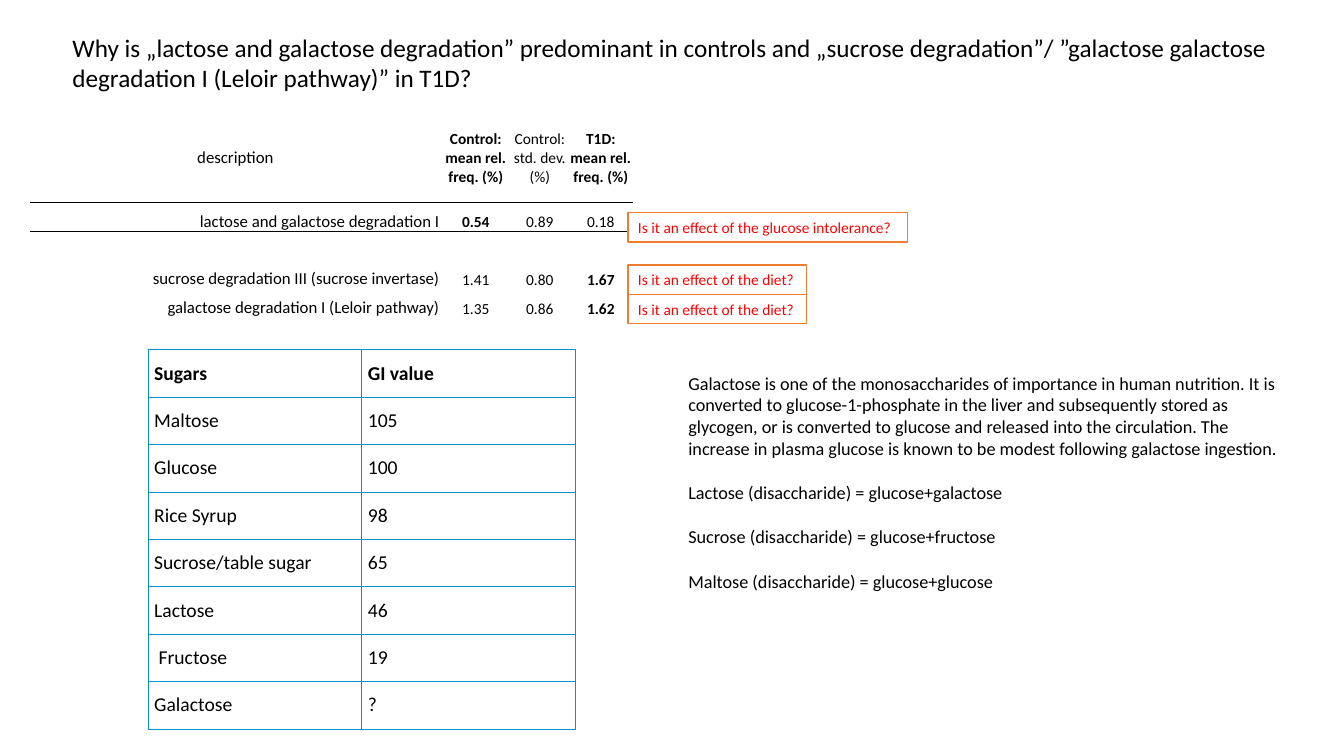
from lxml import etree
from pptx import Presentation, util as u
from pptx.dml.color import RGBColor
from pptx.enum import shapes, text
from pptx.oxml.ns import qn

FONT, BLACK, WHITE, RED = "Calibri", "000000", "FFFFFF", "FF0000"
ORANGE, BLUE = "ED7D31", "0591CC"
NO_GRID_STYLE = "{2D5ABB26-0587-4C30-8999-92F81FD0307C}"
LEFT, CENTER, RIGHT = text.PP_ALIGN.LEFT, text.PP_ALIGN.CENTER, text.PP_ALIGN.RIGHT
MIDDLE, BOTTOM = text.MSO_ANCHOR.MIDDLE, text.MSO_ANCHOR.BOTTOM

TITLE = ("Why is „lactose and galactose degradation” predominant in controls and "
         "„sucrose degradation”/ ”galactose galactose degradation I (Leloir pathway)” in T1D?")
NOTES = [
    "Galactose is one of the monosaccharides of importance in human nutrition. It is "
    "converted to glucose-1-phosphate in the liver and subsequently stored as glycogen, "
    "or is converted to glucose and released into the circulation. The increase in plasma "
    "glucose is known to be modest following galactose ingestion.",
    "Lactose (disaccharide) = glucose+galactose",
    "Sucrose (disaccharide) = glucose+fructose",
    "Maltose (disaccharide) = glucose+glucose",
]
SUGARS = [
    ("Sugars", "GI value"), ("Maltose", "105"), ("Glucose", "100"), ("Rice Syrup", "98"),
    ("Sucrose/table sugar", "65"), ("Lactose", "46"), (" Fructose", "19"), ("Galactose", "?"),
]
PATHWAYS = [
    ("description", "Control: mean rel. freq. (%)", "Control: std. dev. (%)",
     "T1D: mean rel. freq. (%)"),
    ("lactose and galactose degradation I", "0.54", "0.89", "0.18"),
    ("sucrose degradation III (sucrose invertase)", "1.41", "0.80", "1.67"),
    ("galactose degradation I (Leloir pathway)", "1.35", "0.86", "1.62"),
]
PATHWAY_BOLD = {(0, 1), (0, 3), (1, 1), (2, 3), (3, 3)}

# Positions and sizes are percentages of the slide's width and height
TITLE_BOX = (4.65, 3.6, 92.7, 9.47)
NOTES_BOX = (50.48, 48.53, 45.82, 33.47)
SUGAR_ORIGIN, SUGAR_COLUMNS, SUGAR_ROWS = (11.02, 46.27), [15.9] * 2, [6.27] * 8
PATHWAY_ORIGIN = (2.25, 14.8)
PATHWAY_COLUMNS, PATHWAY_ROWS = [30.53, 5.25, 4.28, 4.8], [12, 3.87, 7.6, 3.87]
QUESTION_LEFT, QUESTION_HEIGHT = 46.73, 3.87
QUESTIONS = [  # top, width, wording
    (28.13, 20.78, "Is it an effect of the glucose intolerance?"),
    (35.07, 13.28, "Is it an effect of the diet?"),
    (38.93, 13.28, "Is it an effect of the diet?"),
]

presentation = Presentation()
presentation.slide_width, presentation.slide_height = u.Inches(13.33), u.Inches(7.5)
slide = presentation.slides.add_slide(presentation.slide_layouts[6])


def color(value):
    return RGBColor.from_string(value)


def across(share):
    return round(presentation.slide_width * share / 100)


def down(share):
    return round(presentation.slide_height * share / 100)


def place(left, top, width, height):
    return across(left), down(top), across(width), down(height)


def write(frame, lines, size, fill=BLACK, bold=False, align=LEFT, gap=0):
    """Put each line in its own paragraph, with gap points between paragraphs."""
    for index, line in enumerate(lines):
        paragraph = frame.add_paragraph() if index else frame.paragraphs[0]
        paragraph.alignment = align
        if index and gap:
            paragraph.space_before = u.Pt(gap)
        run = paragraph.add_run()
        run.text = line
        run.font.name, run.font.size, run.font.bold = FONT, u.Pt(size), bold
        run.font.color.rgb = color(fill)


def add_text(box, lines, size, gap=0):
    frame = slide.shapes.add_textbox(*place(*box)).text_frame
    frame.word_wrap = True
    frame.auto_size = text.MSO_AUTO_SIZE.SHAPE_TO_FIT_TEXT
    write(frame, lines, size, gap=gap)


def add_question(top, width, wording):
    shape = slide.shapes.add_shape(
        shapes.MSO_SHAPE.RECTANGLE, *place(QUESTION_LEFT, top, width, QUESTION_HEIGHT))
    shape.shadow.inherit = False
    shape.fill.solid()
    shape.fill.fore_color.rgb = color(WHITE)
    shape.line.color.rgb = color(ORANGE)
    shape.line.width = u.Pt(1)
    frame = shape.text_frame
    frame.word_wrap = False
    frame.auto_size = text.MSO_AUTO_SIZE.SHAPE_TO_FIT_TEXT
    write(frame, [wording], 11, RED)


def add_borders(cell, sides, line_color, width):
    """Draw the given sides, named L, R, T and B, in that order."""
    for side in sides:
        line = etree.SubElement(cell._tc.get_or_add_tcPr(), qn(f"a:ln{side}"),
                                w=str(u.Pt(width)))
        fill = etree.SubElement(line, qn("a:solidFill"))
        etree.SubElement(fill, qn("a:srgbClr"), val=line_color)


def add_table(origin, columns, rows, values, margins, style_cell):
    """Build a plain table; style_cell writes and styles each cell."""
    frame = slide.shapes.add_table(
        len(rows), len(columns), *place(*origin, sum(columns), sum(rows)))
    table = frame.table
    table.first_row = table.horz_banding = False
    table._tbl.tblPr.find(qn("a:tableStyleId")).text = NO_GRID_STYLE
    for column, share in zip(table.columns, columns):
        column.width = across(share)
    for row, share in zip(table.rows, rows):
        row.height = down(share)
    for r, line in enumerate(values):
        for c, value in enumerate(line):
            cell = table.cell(r, c)
            (cell.margin_left, cell.margin_top,
             cell.margin_right, cell.margin_bottom) = map(u.Inches, margins)
            style_cell(cell, r, c, value)
            cell.fill.background()


def style_sugar(cell, r, c, value):
    cell.vertical_anchor = MIDDLE
    write(cell.text_frame, [value], 14, bold=r == 0)
    add_borders(cell, "LRTB", BLUE, 0.6)


def style_pathway(cell, r, c, value):
    cell.vertical_anchor = BOTTOM if r else MIDDLE
    write(cell.text_frame, [value], 11 if c else 12, bold=(r, c) in PATHWAY_BOLD,
          align=RIGHT if r and not c else CENTER)
    if r < 2:
        add_borders(cell, "T" if r else "B", BLACK, 1)


add_table(SUGAR_ORIGIN, SUGAR_COLUMNS, SUGAR_ROWS, SUGARS,
          (0.06, 0.03, 0.06, 0.03), style_sugar)
add_text(NOTES_BOX, NOTES, 13, gap=15.9)
add_text(TITLE_BOX, [TITLE], 18)
add_table(PATHWAY_ORIGIN, PATHWAY_COLUMNS, PATHWAY_ROWS, PATHWAYS,
          (0.01, 0.01, 0.01, 0), style_pathway)
for question in QUESTIONS:
    add_question(*question)

presentation.save("out.pptx")
